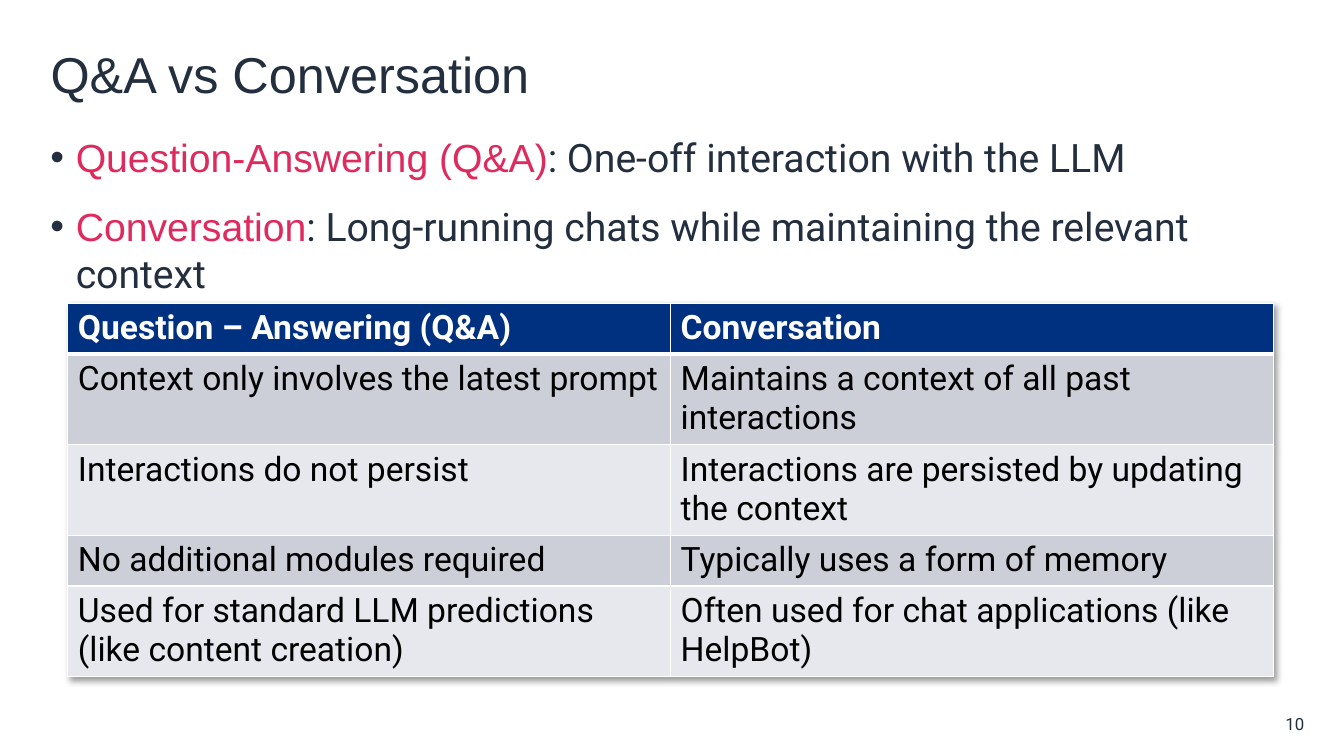
from dataclasses import dataclass

from lxml.etree import SubElement
from pptx import Presentation
from pptx.dml.color import RGBColor
from pptx.enum.text import MSO_ANCHOR, PP_ALIGN
from pptx.oxml import parse_xml
from pptx.oxml.ns import nsdecls, qn
from pptx.util import Cm, Pt


@dataclass(frozen=True)
class Theme:
    heading_font: str = "Arial"
    body_font: str = "Roboto"
    ink: str = "232F3E"
    accent: str = "DF2A5D"
    header_fill: str = "003181"
    band_fills: tuple = ("CCCED8", "E7E8ED")
    white: str = "FFFFFF"
    black: str = "000000"
    title_size: int = 36
    bullet_size: int = 28
    table_size: int = 24
    number_size: int = 12


THEME = Theme()

DEFINITIONS = [
    ("Question-Answering (Q&A)", ": One-off interaction with the LLM"),
    ("Conversation",
     ": Long-running chats while maintaining the relevant context"),
]

COMPARISON = [
    ("Question – Answering (Q&A)", "Conversation"),
    ("Context only involves the latest prompt",
     "Maintains a context of all past interactions"),
    ("Interactions do not persist",
     "Interactions are persisted by updating the context"),
    ("No additional modules required", "Typically uses a form of memory"),
    ("Used for standard LLM predictions (like content creation)",
     "Often used for chat applications (like HelpBot)"),
]
ROW_HEIGHTS = [Cm(height) for height in (1.25, 2.25, 2.25, 1.25, 2.25)]


def set_all(target, values):
    for name, value in values.items():
        setattr(target, name, value)


def add_span(para, text, size, color, font=THEME.body_font, bold=False):
    span = para.add_run()
    span.text = text
    set_all(span.font, {"name": font, "size": Pt(size), "bold": bold})
    span.font.color.rgb = RGBColor.from_string(color)


def place(box, left, top, width, height):
    set_all(box, {"left": left, "top": top, "width": width, "height": height})


def set_title(page, text):
    title = page.shapes.title
    place(title, Cm(1.02), Cm(0.84), Cm(31.85), Cm(2.03))
    set_all(title.text_frame,
            {"vertical_anchor": MSO_ANCHOR.MIDDLE, "word_wrap": True})
    para = title.text_frame.paragraphs[0]
    para.alignment = PP_ALIGN.LEFT
    add_span(para, text, THEME.title_size, THEME.ink, THEME.heading_font)


def add_bullet(para, color):
    props = para._p.get_or_add_pPr()
    props.set("marL", str(Cm(0.64)))
    props.set("indent", str(-Cm(0.64)))
    bullet_color = SubElement(props, qn("a:buClr"))
    SubElement(bullet_color, qn("a:srgbClr"), val=color)
    SubElement(props, qn("a:buFont"), typeface="Arial")
    SubElement(props, qn("a:buChar"), char="•")


def add_definitions(page, definitions):
    box = page.shapes.add_textbox(Cm(1.02), Cm(3.23), Cm(31.85), Cm(3.68))
    frame = box.text_frame
    frame.word_wrap = True
    for index, (term, meaning) in enumerate(definitions):
        para = frame.add_paragraph() if index else frame.paragraphs[0]
        add_bullet(para, THEME.ink)
        set_all(para, {"space_before": Pt(10 if index else 0),
                       "space_after": Pt(6)})
        add_span(para, term, THEME.bullet_size, THEME.accent,
                 THEME.heading_font)
        add_span(para, meaning, THEME.bullet_size, THEME.ink)


def add_borders(cell, color, is_header):
    props = cell._tc.get_or_add_tcPr()
    for side in "LRTB":
        width = Pt(3 if is_header and side == "B" else 1)
        line = SubElement(props, qn(f"a:ln{side}"), w=str(width))
        fill = SubElement(line, qn("a:solidFill"))
        SubElement(fill, qn("a:srgbClr"), val=color)


def add_table_shadow(table):
    shadow = parse_xml(
        f'<a:effectLst {nsdecls("a")}>'
        f'<a:outerShdw blurRad="{Pt(4)}" dist="{Pt(3)}" dir="2700000"'
        ' algn="tl" rotWithShape="0">'
        f'<a:srgbClr val="{THEME.black}"><a:alpha val="40000"/></a:srgbClr>'
        '</a:outerShdw></a:effectLst>')
    table._tbl.tblPr.insert(0, shadow)


def add_comparison(page, rows, heights):
    frame = page.shapes.add_table(len(rows), len(rows[0]), Cm(1.71), Cm(7.65),
                                  Cm(30.38), sum(heights))
    table = frame.table
    add_table_shadow(table)
    for row_index, (texts, height) in enumerate(zip(rows, heights)):
        table.rows[row_index].height = height
        is_header = row_index == 0
        fill = (THEME.header_fill if is_header
                else THEME.band_fills[(row_index - 1) % 2])
        color = THEME.white if is_header else THEME.black
        for column_index, text in enumerate(texts):
            cell = table.cell(row_index, column_index)
            add_borders(cell, THEME.white, is_header)
            cell.fill.solid()
            cell.fill.fore_color.rgb = RGBColor.from_string(fill)
            add_span(cell.text_frame.paragraphs[0], text, THEME.table_size,
                     color, bold=is_header)


def add_page_number(page, number):
    box = page.shapes.add_textbox(Cm(31.52), Cm(17.91), Cm(1.35), Cm(0.64))
    set_all(box.text_frame, {
        "margin_left": 0, "margin_right": 0, "margin_top": 0,
        "margin_bottom": 0, "word_wrap": True,
        "vertical_anchor": MSO_ANCHOR.MIDDLE})
    para = box.text_frame.paragraphs[0]
    para.alignment = PP_ALIGN.RIGHT
    add_span(para, number, THEME.number_size, THEME.ink)


def main():
    deck = Presentation()
    set_all(deck, {"slide_width": Cm(33.87), "slide_height": Cm(19.05)})
    title_only = deck.slide_layouts.get_by_name("Title Only")
    page = deck.slides.add_slide(title_only)
    add_page_number(page, "10")
    set_title(page, "Q&A vs Conversation")
    add_definitions(page, DEFINITIONS)
    add_comparison(page, COMPARISON, ROW_HEIGHTS)
    deck.save("out.pptx")


if __name__ == "__main__":
    main()
